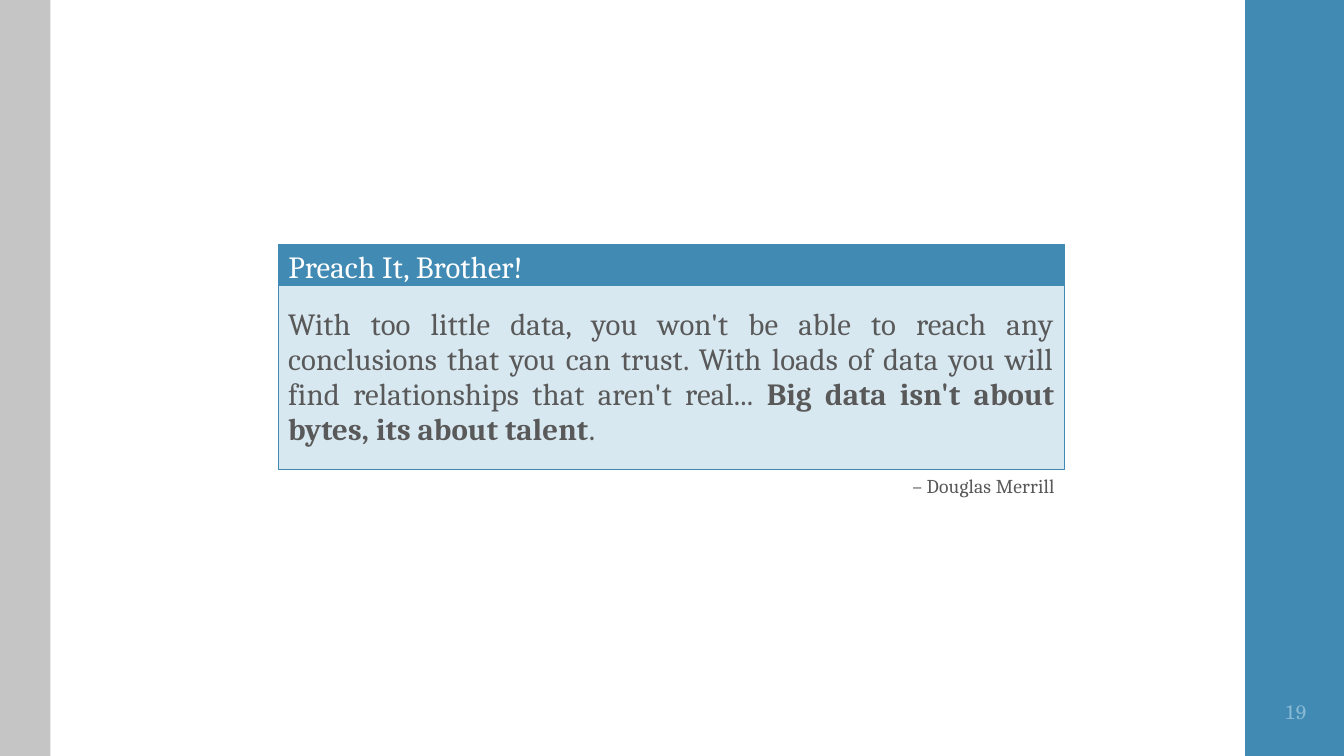
from pptx import Presentation
from pptx.dml.color import RGBColor
from pptx.enum import shapes, text
from pptx.util import Inches, Pt

HUES = {"blue": "418AB3", "gray": "C5C5C5", "pale": "D8E8F1",
        "ink": "595959", "white": "FFFFFF", "page": "8ABAD4"}
ALIGN = text.PP_ALIGN
ANCHOR = text.MSO_ANCHOR


def hue(name):
    """Return the named colour."""
    return RGBColor.from_string(HUES[name])


def place(shape, box):
    """Move and size a shape to a box in inches."""
    shape.left, shape.top, shape.width, shape.height = map(Inches, box)


def paint(shape, fill, line=None):
    """Set the fill and the outline."""
    shape.fill.solid()
    shape.fill.fore_color.rgb = hue(fill)
    if line:
        shape.line.color.rgb = hue(line)
        shape.line.width = Pt(0.75)
    else:
        shape.line.fill.background()


def panel(slide, box, fill, line=None):
    """Add a filled rectangle."""
    shape = slide.shapes.add_shape(shapes.MSO_SHAPE.RECTANGLE, *map(Inches, box))
    shape.shadow.inherit = False
    paint(shape, fill, line)
    return shape


def write(shape, parts, size, color, align, anchor=ANCHOR.TOP, font="Cambria"):
    """Write one paragraph from (words, bold) parts."""
    frame = shape.text_frame
    frame.word_wrap = True
    frame.auto_size = text.MSO_AUTO_SIZE.NONE
    frame.vertical_anchor = anchor
    para = frame.paragraphs[0]
    para.alignment = align
    para.line_spacing = 0.95
    para.space_before, para.space_after = Pt(14), Pt(2)
    for words, bold in parts:
        run = para.add_run()
        run.text = words
        run.font.name, run.font.size, run.font.bold = font, Pt(size), bold
        run.font.color.rgb = hue(color)
        run.font._element.set("spc", "10")


def frame(slide, width, height):
    """Draw the side bars and the page number."""
    left = width - 0.98
    panel(slide, (left, 0, 1, height), "blue")
    panel(slide, (0, 0, 0.5, height), "gray")
    page = slide.shapes.add_textbox(0, 0, 0, 0)
    place(page, (left, height - 0.75, 1, 0.65))
    write(page, [("19", False)], 14, "page", ALIGN.CENTER,
          ANCHOR.MIDDLE, "TeX Gyre Schola")


def quote(slide, left, top, width):
    """Draw the heading, the quotation and its author."""
    title = slide.shapes.title
    place(title, (left, top, width, 0.41))
    paint(title, "blue", "blue")
    write(title, [("Preach It, Brother!", False)], 22, "white", ALIGN.LEFT)

    body = panel(slide, (left, top + 0.4, width, 1.83), "pale", "blue")
    write(body, [
        ("With too little data, you won't be able to reach any conclusions "
         "that you can trust. With loads of data you will find relationships "
         "that aren't real... ", False),
        ("Big data isn't about bytes, its about talent", True),
        (".", False),
    ], 22, "ink", ALIGN.JUSTIFY, ANCHOR.MIDDLE)

    author = slide.shapes.add_textbox(0, 0, 0, 0)
    place(author, (left, top + 2.24, width, 0.29))
    write(author, [("– Douglas Merrill", False)], 14, "ink", ALIGN.RIGHT)


def main():
    """Build and save the slide."""
    deck = Presentation()
    deck.slide_width, deck.slide_height = Inches(13.33), Inches(7.5)
    slide = deck.slides.add_slide(deck.slide_layouts[5])
    frame(slide, 13.33, 7.5)
    quote(slide, 2.76, 2.43, 7.8)
    deck.save("out.pptx")


if __name__ == "__main__":
    main()
